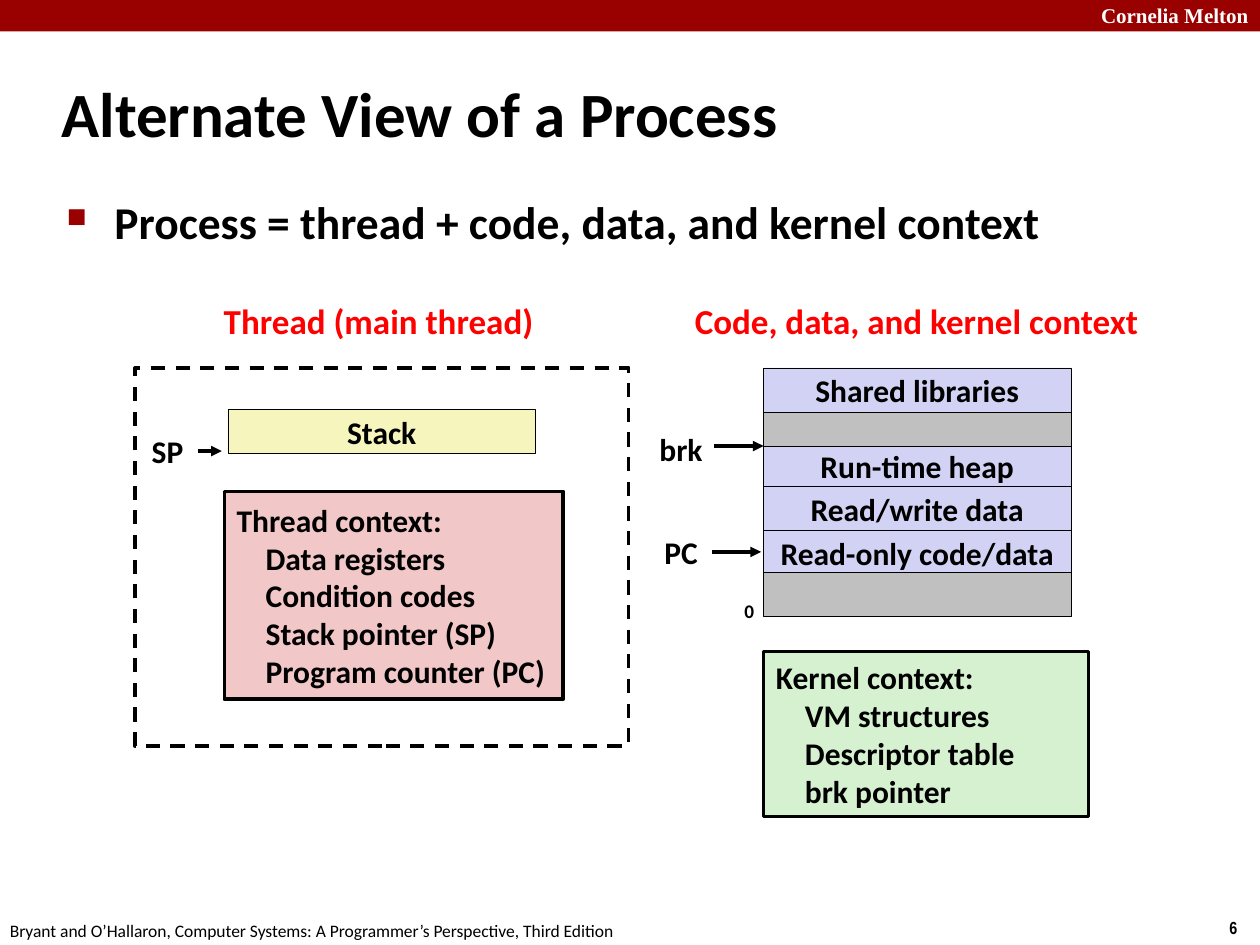
from pptx import Presentation
from pptx.dml.color import RGBColor
from pptx.enum.dml import MSO_LINE
from pptx.enum.shapes import MSO_CONNECTOR, MSO_SHAPE
from pptx.enum.text import MSO_ANCHOR, PP_ALIGN
from pptx.oxml.ns import qn
from pptx.util import Inches, Pt
from lxml.etree import SubElement

BLACK, WHITE, RED, CRIMSON = "000000", "FFFFFF", "FF0000", "990000"
BLUE, GREY, YELLOW, PINK, GREEN = "D2D2F4", "C0C0C0", "F6F5BD", "F1C7C7", "D5F1CF"
BLOCK_W, BLOCK_H = 2.44, 0.35
MEMORY_X, DIAGRAM_Y = 6.06, 2.92

TITLE = "Alternate View of a Process"
SUMMARY = "Process = thread + code, data, and kernel context"
FOOTER = "Bryant and O’Hallaron, Computer Systems: A Programmer’s Perspective, Third Edition"

# label, fill, top, height
MEMORY = [
    ("Shared libraries", BLUE, DIAGRAM_Y, BLOCK_H),
    ("", GREY, 3.27, 0.28),
    ("Run-time heap", BLUE, 3.54, 0.32),
    ("Read/write data", BLUE, 3.86, BLOCK_H),
    ("Read-only code/data", BLUE, 4.21, BLOCK_H),
    ("", GREY, 4.54, BLOCK_H),
]
# heading, items, fill, box
CONTEXTS = [
    ("Thread context:",
     ["Data registers", "Condition codes", "Stack pointer (SP)", "Program counter (PC)"],
     PINK, (1.78, 3.9, 2.69, 1.65)),
    ("Kernel context:", ["VM structures", "Descriptor table", "brk pointer"],
     GREEN, (MEMORY_X, 5.17, 2.58, 1.31)),
]
HEADINGS = [
    ("Thread (main thread)", (1.66, 2.32, 2.69, 0.44)),
    ("Code, data, and kernel context", (5.36, 2.32, 3.83, 0.44)),
]
# label, label box, arrow start, arrow end, arrow height
POINTERS = [
    ("SP", (1.1, 3.38, 0.46, 0.4), 1.57, 1.76, 3.58),
    ("PC", (5.17, 4.18, 0.47, 0.4), 5.65, 6.04, 4.38),
    ("brk", (5.13, 3.36, 0.55, 0.4), 5.67, 6.06, 3.54),
]


def rgb(value):
    return RGBColor.from_string(value)


def write(shape, lines, size, color=BLACK, font="Calibri", bold=True,
          centered=False, middle=False):
    frame = shape.text_frame
    frame.text = "\n".join(lines)
    frame.word_wrap = not centered
    frame.vertical_anchor = MSO_ANCHOR.MIDDLE if middle else MSO_ANCHOR.TOP
    if not centered:
        frame.margin_right = 0
    for paragraph in frame.paragraphs:
        paragraph.alignment = PP_ALIGN.CENTER if centered else PP_ALIGN.LEFT
        for run in paragraph.runs:
            run.font.size, run.font.name, run.font.bold = Pt(size), font, bold
            run.font.color.rgb = rgb(color)
    return frame.paragraphs


def add_text(slide, text, box, size, **style):
    shape = slide.shapes.add_textbox(*map(Inches, box))
    return write(shape, [text], size, **style)[0]


def add_box(slide, box, fill=None, line_width=None):
    shape = slide.shapes.add_shape(MSO_SHAPE.RECTANGLE, *map(Inches, box))
    shape.shadow.inherit = False
    if fill:
        shape.fill.solid()
        shape.fill.fore_color.rgb = rgb(fill)
    else:
        shape.fill.background()
    if line_width:
        shape.line.color.rgb = rgb(BLACK)
        shape.line.width = Pt(line_width)
    else:
        shape.line.fill.background()
    return shape


def add_block(slide, label, fill, box):
    block = add_box(slide, box, fill, 0.25)
    if label:
        write(block, [label], 18, centered=True, middle=True)


def add_context(slide, heading, items, fill, box):
    lines = write(add_box(slide, box, fill, 2), [heading, *items], 18, middle=True)
    for item in lines[1:]:
        item._p.get_or_add_pPr().set("marL", str(Inches(0.23)))


def add_arrow(slide, start, end, y):
    arrow = slide.shapes.add_connector(
        MSO_CONNECTOR.STRAIGHT, *map(Inches, (start, y, end, y)))
    arrow.line.color.rgb = rgb(BLACK)
    arrow.line.width = Pt(2)
    SubElement(arrow.line._get_or_add_ln(), qn("a:tailEnd"), type="triangle")
    SubElement(arrow._element.spPr, qn("a:effectLst"))


def add_square_bullet(paragraph, indent):
    properties = paragraph._p.get_or_add_pPr()
    properties.set("marL", str(Inches(indent)))
    properties.set("indent", str(-Inches(indent)))
    color = SubElement(properties, qn("a:buClr"))
    SubElement(color, qn("a:srgbClr"), val=CRIMSON)
    SubElement(properties, qn("a:buSzPct"), val="60000")
    SubElement(properties, qn("a:buChar"), char="■")


def main():
    deck = Presentation()
    deck.slide_width, deck.slide_height = Inches(10), Inches(7.5)
    slide = deck.slides.add_slide(deck.slide_layouts[6])

    add_box(slide, (0, 0, 10, 0.25), CRIMSON)
    add_text(slide, "Cornelia Melton", (8.64, -0.03, 1.43, 0.3), 12,
             color=WHITE, font="Times New Roman")
    add_text(slide, "6", (9.66, 7.23, 0.34, 0.27), 10, font="Arial Narrow")
    add_text(slide, FOOTER, (-0.02, 7.25, 5.08, 0.27), 10, bold=False)
    add_text(slide, TITLE, (0.39, 0.48, 8.3, 0.83), 36, middle=True)
    summary = add_text(slide, SUMMARY, (0.43, 1.49, 8.64, 0.6), 26)
    summary.space_before = Pt(5)
    add_square_bullet(summary, 0.38)

    for heading, box in HEADINGS:
        add_text(slide, heading, box, 20, color=RED, centered=True, middle=True)

    thread = add_box(slide, (1.07, DIAGRAM_Y, 3.92, 3), line_width=2)
    thread.line.dash_style = MSO_LINE.DASH
    add_block(slide, "Stack", YELLOW, (1.81, 3.25, BLOCK_W, BLOCK_H))
    for label, fill, top, height in MEMORY:
        add_block(slide, label, fill, (MEMORY_X, top, BLOCK_W, height))
    add_text(slide, "0", (5.81, 4.71, 0.28, 0.29), 11)

    for context in CONTEXTS:
        add_context(slide, *context)
    for label, box, start, end, y in POINTERS:
        add_text(slide, label, box, 18, centered=True, middle=True)
        add_arrow(slide, start, end, y)

    deck.save("out.pptx")


if __name__ == "__main__":
    main()
